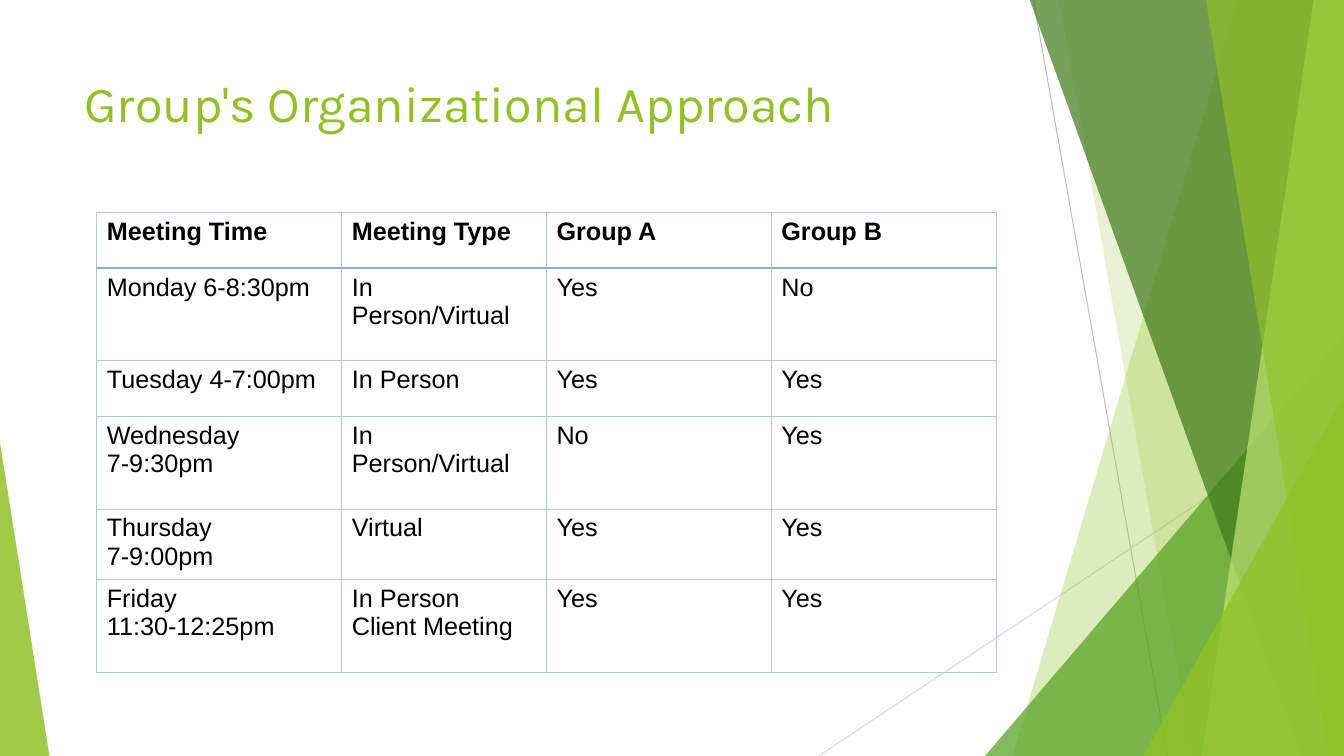
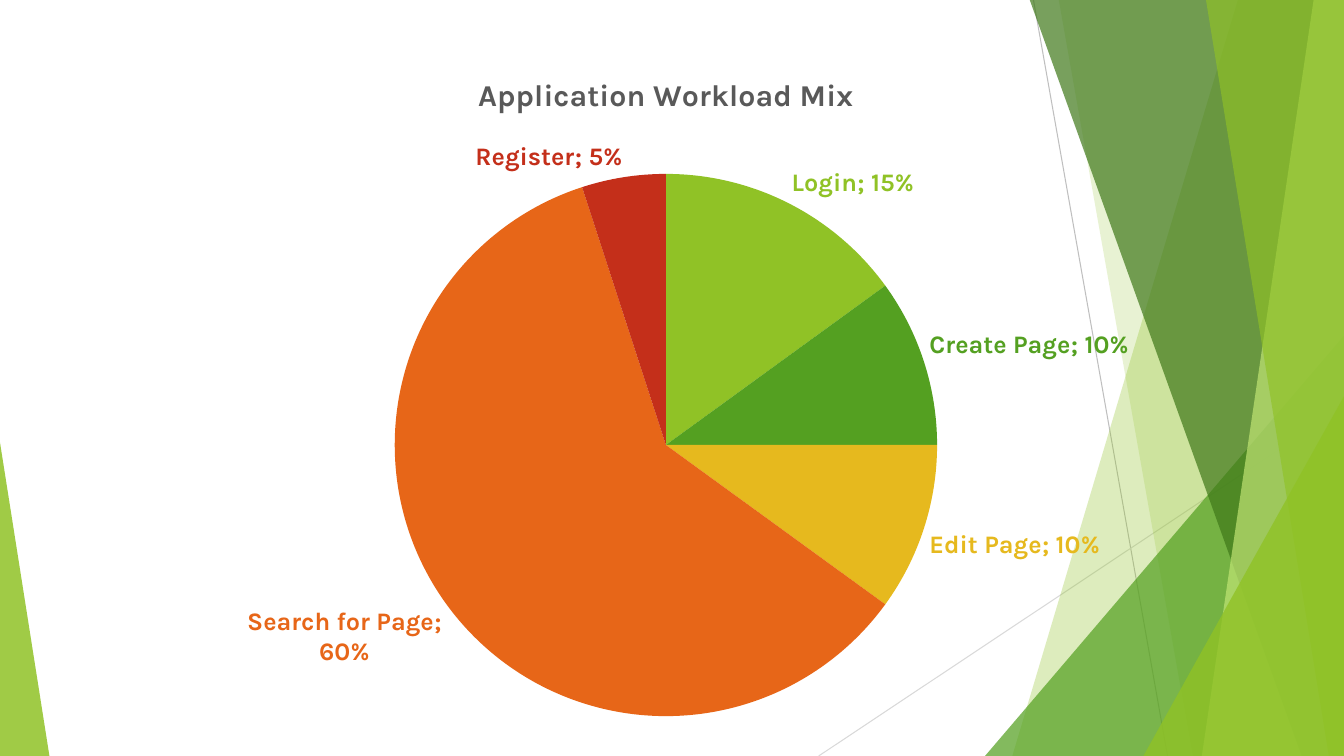
import dataclasses
import typing

import lxml.etree
import pptx
import pptx.chart.data
import pptx.dml.color
import pptx.enum.chart
import pptx.enum.shapes
import pptx.enum.text
import pptx.oxml
import pptx.oxml.ns
import pptx.util

Inches = pptx.util.Inches
qn = pptx.oxml.ns.qn


@dataclasses.dataclass(frozen=True)
class Theme:
    """Colours, fonts and type sizes shared by the slides."""

    lime: str = "90C226"
    pale_lime: str = "C0E474"
    green: str = "54A021"
    dark_green: str = "3F7819"
    yellow: str = "E6B91E"
    orange: str = "E76618"
    red: str = "C42F1A"
    black: str = "000000"
    gray: str = "595959"
    line_gray: str = "BFBFBF"
    pale_gray: str = "D9D9D9"
    border: str = "B4C6E7"
    header_border: str = "8EAADB"
    heading_font: str = "Karla"
    table_font: str = "Arial"
    title_size: float = 36
    chart_title_size: float = 21.6
    body_size: float = 18
    thin: float = 0.75
    thick: float = 1.5


class Ray(typing.NamedTuple):
    """A thin straight line of the backdrop."""

    start: tuple[float, float]
    end: tuple[float, float]
    color: str


class Band(typing.NamedTuple):
    """A slanted band that reaches the right edge of the slide."""

    top_x: float
    bottom_x: float
    color: str
    opacity: int


class Wedge(typing.NamedTuple):
    """A right triangle that stands on the bottom edge of the slide."""

    left: float
    top: float
    width: float
    apex: float
    color: str
    opacity: int


class Slice(typing.NamedTuple):
    """One share of the workload pie."""

    name: str
    share: float
    color: str


THEME = Theme()
SLIDE_WIDTH, SLIDE_HEIGHT = 13.33, 7.5
BAND_TOP = -0.01

BACKDROP = [
    Ray((10.25, 0), (11.58, SLIDE_HEIGHT), THEME.line_gray),
    Ray((SLIDE_WIDTH, 4.03), (8.12, SLIDE_HEIGHT), THEME.pale_gray),
    Band(12.28, 10.04, THEME.lime, 30),
    Band(10.5, 11.83, THEME.lime, 20),
    Wedge(9.77, 3.33, 3.56, 1, THEME.green, 72),
    Band(10.21, 12.91, THEME.dark_green, 70),
    Band(13.03, 11.92, THEME.pale_lime, 70),
    Band(11.96, 13.18, THEME.lime, 65),
    Wedge(11.34, 3.93, 1.99, 1, THEME.lime, 80),
    Wedge(0, 4.39, 0.49, 0, THEME.lime, 85),
]

COLUMN_WIDTHS = [2.43, 2.03, 2.23, 2.23]
ROW_HEIGHTS = [0.55, 0.92, 0.55, 0.92, 0.55, 0.92]
MEETINGS = [
    ("Meeting Time", "Meeting Type", "Group A", "Group B"),
    ("Monday 6-8:30pm", "In Person/Virtual", "Yes", "No"),
    ("Tuesday 4-7:00pm", "In Person", "Yes", "Yes"),
    ("Wednesday\n7-9:30pm", "In Person/Virtual", "No", "Yes"),
    ("Thursday\n7-9:00pm", "Virtual", "Yes", "Yes"),
    ("Friday\n11:30-12:25pm", "In Person\nClient Meeting", "Yes", "Yes"),
]

WORKLOAD = [
    Slice("Login", 0.15, THEME.lime),
    Slice("Create Page", 0.1, THEME.green),
    Slice("Edit Page", 0.1, THEME.yellow),
    Slice("Search for Page", 0.6, THEME.orange),
    Slice("Register", 0.05, THEME.red),
]


def rgb(color: str) -> pptx.dml.color.RGBColor:
    """Turn a hexadecimal string into a colour."""
    return pptx.dml.color.RGBColor.from_string(color)


def format_font(font, *, size: float, color: str, name: str, bold: bool = False) -> None:
    """Set size, colour, typeface and weight of a font."""
    font.size = pptx.util.Pt(size)
    font.name = name
    font.bold = bold
    font.color.rgb = rgb(color)


def write_text(text_frame, text: str, **font_format) -> None:
    """Fill a text frame, one paragraph a line, in one format."""
    text_frame.text = text
    for paragraph in text_frame.paragraphs:
        paragraph.alignment = font_format.get("alignment")
        for run in paragraph.runs:
            format_font(run.font, **{key: value for key, value in font_format.items()
                                     if key != "alignment"})


def paint(shape, color: str, opacity: int) -> None:
    """Give a shape a translucent fill without line or shadow."""
    shape.shadow.inherit = False
    shape.line.fill.background()
    shape.fill.solid()
    shape.fill.fore_color.rgb = rgb(color)
    fill_color = shape.element.xpath("./p:spPr/a:solidFill/a:srgbClr")[0]
    lxml.etree.SubElement(fill_color, qn("a:alpha"), val=str(opacity * 1000))


def draw_ray(slide, ray: Ray) -> None:
    """Draw one backdrop line."""
    connector = slide.shapes.add_connector(
        pptx.enum.shapes.MSO_CONNECTOR.STRAIGHT,
        *(Inches(length) for length in (*ray.start, *ray.end)))
    connector.line.color.rgb = rgb(ray.color)
    connector.line.width = pptx.util.Pt(THEME.thin)
    properties = connector.element.xpath("./p:spPr")[0]
    lxml.etree.SubElement(properties, qn("a:effectLst"))


def draw_band(slide, band: Band) -> None:
    """Draw one band from the top to the bottom of the slide."""
    corners = [(SLIDE_WIDTH, BAND_TOP), (SLIDE_WIDTH, SLIDE_HEIGHT),
               (band.bottom_x, SLIDE_HEIGHT)]
    builder = slide.shapes.build_freeform(Inches(band.top_x), Inches(BAND_TOP))
    builder.add_line_segments([(Inches(x), Inches(y)) for x, y in corners], close=True)
    paint(builder.convert_to_shape(), band.color, band.opacity)


def draw_wedge(slide, wedge: Wedge) -> None:
    """Draw one triangle down to the bottom of the slide."""
    shape = slide.shapes.add_shape(
        pptx.enum.shapes.MSO_SHAPE.ISOSCELES_TRIANGLE, Inches(wedge.left),
        Inches(wedge.top), Inches(wedge.width), Inches(SLIDE_HEIGHT - wedge.top))
    shape.adjustments[0] = wedge.apex
    paint(shape, wedge.color, wedge.opacity)


def add_slide(presentation):
    """Add a blank slide with the shared backdrop."""
    slide = presentation.slides.add_slide(presentation.slide_layouts[6])
    painters = {Ray: draw_ray, Band: draw_band, Wedge: draw_wedge}
    for part in BACKDROP:
        painters[type(part)](slide, part)
    return slide


def add_title(slide, text: str) -> None:
    """Write the slide title."""
    box = slide.shapes.add_textbox(Inches(0.74), Inches(0.67), Inches(9.4), Inches(1.44))
    box.text_frame.word_wrap = True
    write_text(box.text_frame, text, size=THEME.title_size, color=THEME.lime,
               name=THEME.heading_font)


def set_border(cell, side: str, color: str, width: float) -> None:
    """Draw one side (L, R, T or B) of a cell; call before setting the fill."""
    properties = cell._tc.get_or_add_tcPr()
    line = lxml.etree.SubElement(properties, qn(f"a:ln{side}"),
                                 w=str(int(pptx.util.Pt(width))))
    fill = lxml.etree.SubElement(line, qn("a:solidFill"))
    lxml.etree.SubElement(fill, qn("a:srgbClr"), val=color)


def add_meeting_table(slide) -> None:
    """Add the table of meeting times and attending groups."""
    table = slide.shapes.add_table(
        len(MEETINGS), len(COLUMN_WIDTHS), Inches(0.96), Inches(2.11),
        Inches(sum(COLUMN_WIDTHS)), Inches(sum(ROW_HEIGHTS))).table
    table.first_row = False
    table.horz_banding = False
    for column, width in zip(table.columns, COLUMN_WIDTHS):
        column.width = Inches(width)
    for row_index, (row, height) in enumerate(zip(table.rows, ROW_HEIGHTS)):
        row.height = Inches(height)
        header_side = {0: "B", 1: "T"}.get(row_index)
        for cell, text in zip(row.cells, MEETINGS[row_index]):
            for side in "LRTB":
                if side == header_side:
                    set_border(cell, side, THEME.header_border, THEME.thick)
                else:
                    set_border(cell, side, THEME.border, THEME.thin)
            cell.fill.background()
            cell.margin_right = Inches(0.15)
            write_text(cell.text_frame, text, size=THEME.body_size, color=THEME.black,
                       name=THEME.table_font, bold=row_index == 0,
                       alignment=pptx.enum.text.PP_ALIGN.LEFT)


def place_plot(chart, left: float, top: float, width: float, height: float) -> None:
    """Fix the plot area, in fractions of the chart, and clear the chart's ground."""
    plot_area = chart.element.xpath("./c:chart/c:plotArea")[0]
    for layout in plot_area.xpath("./c:layout"):
        plot_area.remove(layout)
    layout = lxml.etree.Element(qn("c:layout"))
    manual = lxml.etree.SubElement(layout, qn("c:manualLayout"))
    settings = {"layoutTarget": "inner", "xMode": "edge", "yMode": "edge",
                "x": left, "y": top, "w": width, "h": height}
    for tag, value in settings.items():
        lxml.etree.SubElement(manual, qn(f"c:{tag}"), val=str(value))
    plot_area.insert(0, layout)
    ground = pptx.oxml.parse_xml(
        f'<c:spPr {pptx.oxml.ns.nsdecls("c", "a")}><a:noFill/>'
        '<a:ln><a:noFill/></a:ln></c:spPr>')
    chart.element.xpath("./c:chart")[0].addnext(ground)


def label_slices(chart, series) -> None:
    """Colour each slice and label it with its name and share."""
    position = pptx.enum.chart.XL_LABEL_POSITION.OUTSIDE_END
    labels = series.data_labels
    labels.show_value = True
    labels.show_category_name = True
    labels.number_format = "0%"
    labels.number_format_is_linked = False
    labels.position = position
    for index, part in enumerate(WORKLOAD):
        point = series.points[index]
        point.format.fill.solid()
        point.format.fill.fore_color.rgb = rgb(part.color)
        point.format.line.fill.background()
        format_font(point.data_label.font, size=THEME.body_size, color=part.color,
                    name=THEME.heading_font, bold=True)
        point.data_label.position = position
    for label in chart.element.xpath(".//c:dLbl"):
        number_format = lxml.etree.Element(qn("c:numFmt"), formatCode="0%", sourceLinked="0")
        label.find(qn("c:idx")).addnext(number_format)
        label.find(qn("c:showCatName")).set("val", "1")
        lxml.etree.SubElement(label, qn("c:separator")).text = "; "


def add_workload_chart(slide, title: str) -> None:
    """Add the pie chart of the workload mix."""
    data = pptx.chart.data.CategoryChartData(number_format="0%")
    data.categories = [part.name for part in WORKLOAD]
    data.add_series(title, [part.share for part in WORKLOAD])
    chart = slide.shapes.add_chart(
        pptx.enum.chart.XL_CHART_TYPE.PIE, Inches(0.47), Inches(0.5),
        Inches(12.27), Inches(6.81), data).chart
    format_font(chart.font, size=THEME.body_size, color=THEME.black, name=THEME.heading_font)
    chart.has_legend = False
    chart.has_title = True
    write_text(chart.chart_title.text_frame, title, size=THEME.chart_title_size,
               color=THEME.gray, name=THEME.heading_font, bold=True)
    chart.chart_title.include_in_layout = False
    chart.plots[0].vary_by_categories = True
    label_slices(chart, chart.plots[0].series[0])
    place_plot(chart, 0.28, 0.18, 0.44, 0.79)


def main() -> None:
    """Build and save the presentation."""
    presentation = pptx.Presentation()
    presentation.slide_width = Inches(SLIDE_WIDTH)
    presentation.slide_height = Inches(SLIDE_HEIGHT)
    approach = add_slide(presentation)
    add_title(approach, "Group's Organizational Approach")
    add_meeting_table(approach)
    add_workload_chart(add_slide(presentation), "Application Workload Mix")
    presentation.save("out.pptx")


main()
